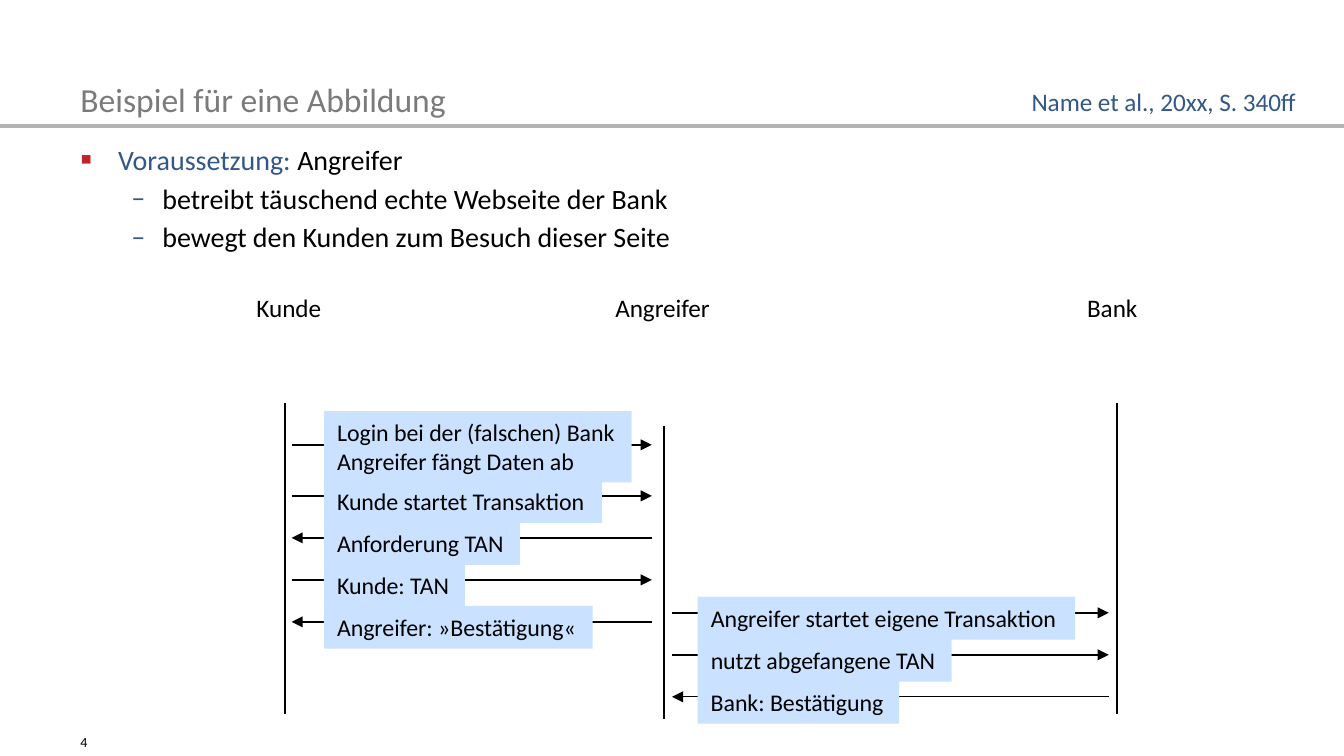
from lxml import etree
from pptx import Presentation
from pptx import util as u
from pptx.dml.color import RGBColor
from pptx.enum import dml, shapes, text
from pptx.oxml.ns import qn

COLORS = {
    "rule": "B3B3B3", "title": "7B7B7B", "accent": "335787",
    "bullet": "C1222A", "ink": "000000", "label": "CAE2FF",
}
LEFT, RIGHT = text.PP_ALIGN.LEFT, text.PP_ALIGN.RIGHT
TOP, BOTTOM = text.MSO_ANCHOR.TOP, text.MSO_ANCHOR.BOTTOM


def color(name):
    return RGBColor.from_string(COLORS[name])


def write(para, words, size=13.5, ink="ink", font="Calibri", align=LEFT):
    """Add one formatted span to a paragraph."""
    para.alignment = align
    span = para.add_run()
    span.text = words
    span.font.name = font
    span.font.size = u.Pt(size)
    span.font.color.rgb = color(ink)


def set_bullet(para, char, ink, margin, hanging, percent=100):
    props = para._p.get_or_add_pPr()
    props.set("marL", str(u.Inches(margin)))
    props.set("indent", str(-u.Inches(hanging)))
    tint = etree.SubElement(props, qn("a:buClr"))
    etree.SubElement(tint, qn("a:srgbClr"), val=COLORS[ink])
    etree.SubElement(props, qn("a:buSzPct"), val=str(percent * 1000))
    etree.SubElement(props, qn("a:buFont"), typeface="Calibri")
    etree.SubElement(props, qn("a:buChar"), char=char)


class Sketch:
    """Style and current slide, with a method for each kind of element."""

    def __init__(self, slide):
        self.slide = slide

    def line(self, x1, y1, x2, y2, ink="ink", width=0.75, dash=None, arrow=False):
        link = self.slide.shapes.add_connector(
            shapes.MSO_CONNECTOR.STRAIGHT,
            u.Inches(x1), u.Inches(y1), u.Inches(x2), u.Inches(y2))
        link.line.color.rgb = color(ink)
        link.line.width = u.Pt(width)
        if dash:
            link.line.dash_style = dash
        if arrow:
            etree.SubElement(link.line._get_or_add_ln(), qn("a:tailEnd"), type="triangle")
        etree.SubElement(link._element.spPr, qn("a:effectLst"))

    def box(self, x, y, width, height, anchor=TOP, wrap=True):
        box = self.slide.shapes.add_textbox(
            u.Inches(x), u.Inches(y), u.Inches(width), u.Inches(height))
        return self.prepare(box, anchor, wrap)

    def prepare(self, box, anchor, wrap):
        frame = box.text_frame
        frame.word_wrap = wrap
        frame.vertical_anchor = anchor
        if not wrap:
            frame.auto_size = text.MSO_AUTO_SIZE.SHAPE_TO_FIT_TEXT
        return frame

    def label(self, x, y, width, height, rows):
        box = self.slide.shapes.add_shape(
            shapes.MSO_SHAPE.RECTANGLE,
            u.Inches(x), u.Inches(y), u.Inches(width), u.Inches(height))
        box.shadow.inherit = False
        box.fill.solid()
        box.fill.fore_color.rgb = color("label")
        box.line.fill.background()
        frame = self.prepare(box, TOP, False)
        for index, row in enumerate(rows):
            para = frame.add_paragraph() if index else frame.paragraphs[0]
            write(para, row, size=12.75)

    def message(self, span, y, x, width, rows, back=False, height=0.32, rise=0.12):
        """An arrow between two lifelines with its label on top."""
        start, end = reversed(span) if back else span
        self.line(start, y, end, y, arrow=True)
        self.label(x, y - rise, width, height, rows)


def main():
    deck = Presentation()
    deck.slide_width = u.Inches(10)
    deck.slide_height = u.Inches(10 * 9 / 16)
    page = Sketch(deck.slides.add_slide(deck.slide_layouts[6]))

    # Header and page number
    page.line(0.5, 0.94, 9.75, 0.94, "rule", dash=dml.MSO_LINE.ROUND_DOT)
    page.line(0, 0.94, 10, 0.94, "rule", width=2)
    number = page.box(0.5, 5.4, 1.17, 0.23, BOTTOM)
    write(number.paragraphs[0], "4", size=7.5)
    title = page.box(0.5, 0.1, 9.25, 0.84, BOTTOM)
    write(title.paragraphs[0], "Beispiel für eine Abbildung", size=18, ink="title")
    source = page.box(2.4, 0.61, 7.34, 0.31, BOTTOM)
    write(source.paragraphs[0], "Name et al., 20xx, S. 340ff", ink="accent", align=RIGHT)

    # Preconditions
    body = page.box(0.5, 1.01, 9.25, 4.5)
    para = body.paragraphs[0]
    set_bullet(para, "▪", "bullet", 0.28, 0.28, percent=120)
    write(para, "Voraussetzung: ", size=15, ink="accent")
    write(para, "Angreifer", size=15)
    for words in ("betreibt täuschend echte Webseite der Bank",
                  "bewegt den Kunden zum Besuch dieser Seite"):
        para = body.add_paragraph()
        para.level = 1
        para.space_before = u.Pt(2.75)
        set_bullet(para, "–", "accent", 0.61, 0.23)
        write(para, words, size=15)

    # Parties
    for name, x, width in (("Kunde", 1.81, 0.69), ("Angreifer", 4.48, 0.92),
                           ("Bank", 7.99, 0.58)):
        write(page.box(x, 2.13, width, 0.33, wrap=False).paragraphs[0], name)

    # Messages: (words, label width, runs back)
    step = 5 / 16
    customer, bank = (2.17, 4.85), (5, 8.25)
    exchanges = (
        (customer, 3.69, 2.41, (
            ("Kunde startet Transaktion", 2.07, False),
            ("Anforderung TAN", 1.46, True),
            ("Kunde: TAN", 1.05, False),
            ("Angreifer: »Bestätigung«", 2, True))),
        (bank, 4.56, 5.19, (
            ("Angreifer startet eigene Transaktion", 2.81, False),
            ("nutzt abgefangene TAN", 1.89, False),
            ("Bank: Bestätigung", 1.5, True))),
    )
    for span, top, x, messages in exchanges:
        for index, (words, width, back) in enumerate(messages):
            page.message(span, top + index * step, x, width, [words], back)
    page.message(customer, 3.31, 2.41, 2.29,
                 ["Login bei der (falschen) Bank", "Angreifer fängt Daten ab"],
                 height=0.53, rise=0.25)

    # Lifelines
    for x, top, bottom in ((2.12, 3, 5.31), (8.31, 3, 5.31), (4.94, 3.17, 5.35)):
        page.line(x, top, x, bottom)

    deck.save("out.pptx")


if __name__ == "__main__":
    main()
